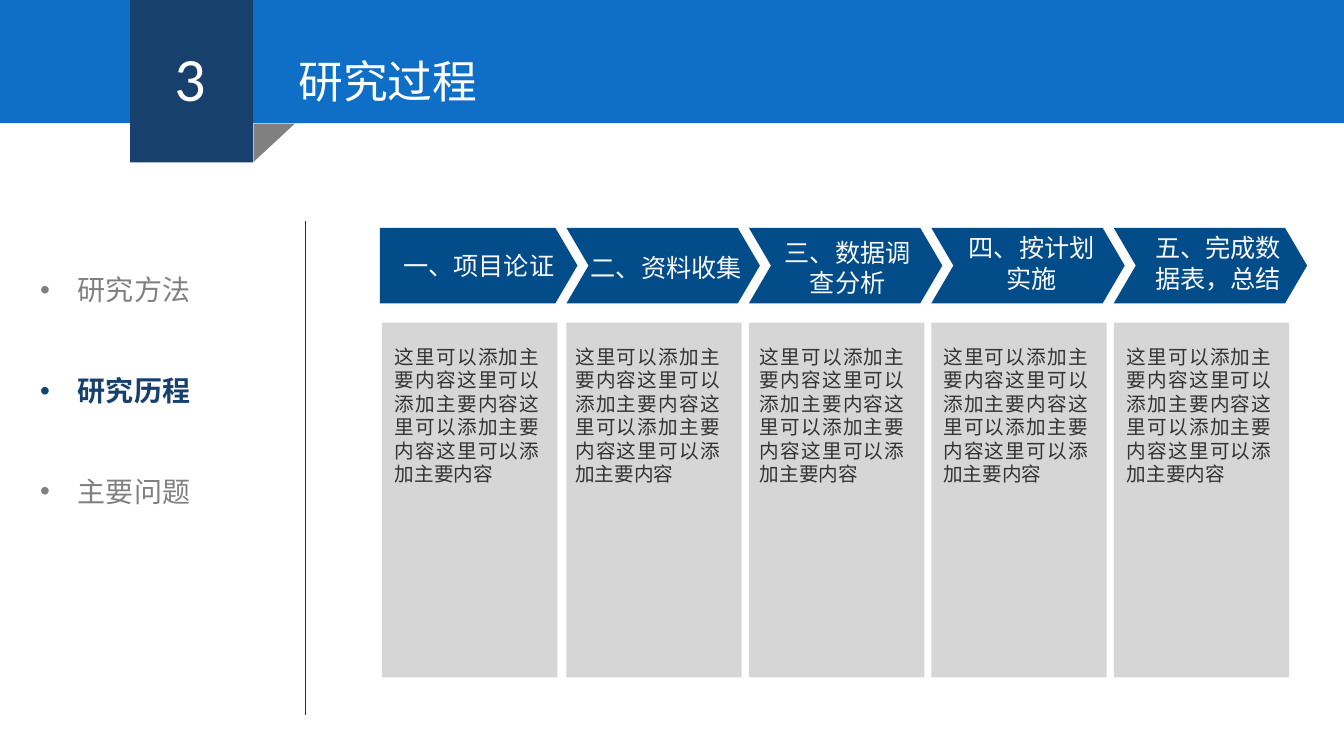
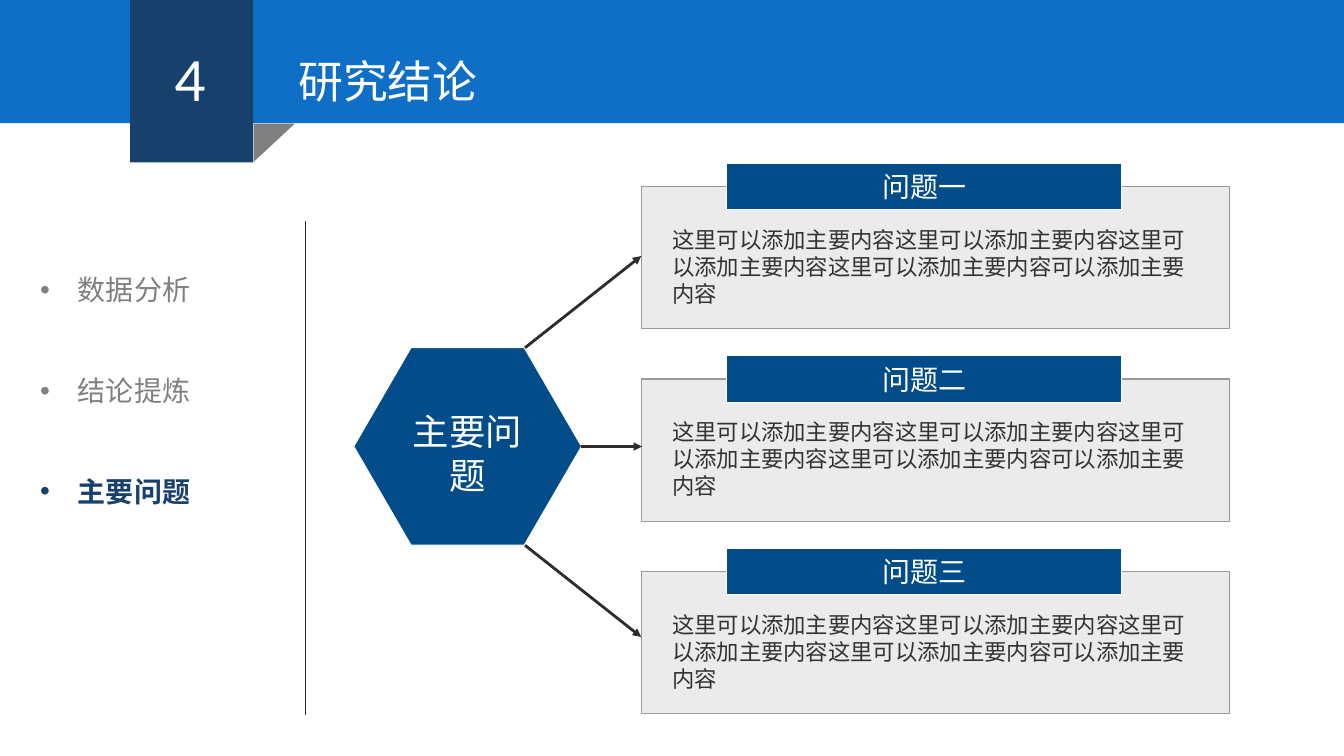
"""Build the research process and research conclusion slides."""
from dataclasses import dataclass

from lxml import etree
from pptx import Presentation
from pptx.dml.color import RGBColor
from pptx.enum import shapes as kinds, text as txt
from pptx.oxml.ns import qn
from pptx.util import Pt

WHITE = RGBColor(0xFF, 0xFF, 0xFF)
OFF_WHITE = RGBColor(0xF8, 0xF8, 0xF8)
BRIGHT_BLUE = RGBColor(0x0F, 0x6F, 0xC6)
NAVY = RGBColor(0x17, 0x40, 0x6D)
DEEP_BLUE = RGBColor(0x02, 0x4C, 0x89)
GRAY = RGBColor(0x80, 0x80, 0x80)
STEP_GRAY = RGBColor(0xD6, 0xD6, 0xD6)
PROBLEM_GRAY = RGBColor(0xEB, 0xEB, 0xEB)
BORDER_GRAY = RGBColor(0x99, 0x99, 0x99)
BODY_INK = RGBColor(0x33, 0x33, 0x33)
LINE_INK = RGBColor(0x2E, 0x2C, 0x2C)

LATIN, CJK = "Calibri", "Noto Sans CJK SC"
LEFT, CENTER, JUSTIFY = txt.PP_ALIGN.LEFT, txt.PP_ALIGN.CENTER, txt.PP_ALIGN.JUSTIFY
RECT = kinds.MSO_SHAPE.RECTANGLE

PHRASE = "这里可以添加主要内容"
STEP_BODY = PHRASE * 4
PROBLEM_BODY = PHRASE * 4 + "可以添加主要内容"

CHEVRON_LEFT, CHEVRON_TOP, CHEVRON_PITCH, CHEVRON_HEIGHT = 274.3, 162.7, 130.3, 54
CHEVRON_SHOULDER, CHEVRON_TIP, CHEVRON_NOTCH = 122.4, 138.2, 15.8
FIRST_CHEVRON_LEFT = 271.4
PROBLEM_TOP, PROBLEM_PITCH = 133.2, 137.5


@dataclass(frozen=True)
class Box:
    left: float
    top: float
    width: float
    height: float

    def lengths(self) -> tuple:
        return Pt(self.left), Pt(self.top), Pt(self.width), Pt(self.height)


@dataclass(frozen=True)
class Style:
    size: float
    color: RGBColor
    font: str = CJK
    align: txt.PP_ALIGN = LEFT
    bold: bool = False


@dataclass(frozen=True)
class Section:
    number: str
    title: str
    topics: tuple
    current: int


@dataclass(frozen=True)
class Step:
    heading: str
    heading_box: Box
    card_left: float
    body_left: float


@dataclass(frozen=True)
class Arrow:
    start: tuple
    end: tuple


PROCESS = Section("3", "研究过程", ("研究方法", "研究历程", "主要问题"), 1)
CONCLUSION = Section("4", "研究结论", ("数据分析", "结论提炼", "主要问题"), 2)

STEPS = (
    Step("一、项目论证", Box(280, 175, 123.8, 28.8), 272.9, 275),
    Step("二、资料收集", Box(412.6, 176.4, 126.7, 28.8), 404.6, 403.9),
    Step("三、数据调查分析", Box(550.8, 165.6, 109.4, 51), 535, 535.7),
    Step("四、按计划实施", Box(678.2, 162.7, 117.4, 51), 665.3, 666.7),
    Step("五、完成数据表，总结", Box(810, 162.7, 120.2, 51), 795.6, 797.8),
)
PROBLEMS = ("问题一", "问题二", "问题三")
ARROWS = (
    Arrow((375, 248.4), (458, 182.9)),
    Arrow((414.7, 319), (458.6, 319)),
    Arrow((375, 389.5), (458, 455)),
)

NUMBER = Style(44, WHITE, LATIN)
TITLE = Style(32, WHITE, LATIN)
TOPIC = Style(20, GRAY, LATIN)
CURRENT_TOPIC = Style(20, NAVY, LATIN, bold=True)
STEP_HEADING = Style(18, OFF_WHITE, align=CENTER)
STEP_TEXT = Style(14, BODY_INK, align=JUSTIFY)
PROBLEM_HEADING = Style(20, WHITE, align=CENTER)
PROBLEM_TEXT = Style(16, BODY_INK)
HUB = Style(26, WHITE, align=CENTER)


def format_paragraph(paragraph, style: Style) -> None:
    paragraph.alignment = style.align
    for run in paragraph.runs:
        run.font.size = Pt(style.size)
        run.font.bold = style.bold
        run.font.color.rgb = style.color
        run.font.name = style.font
        etree.SubElement(run.font._element, qn("a:ea"), typeface=CJK)


def add_text(slide, box: Box, wording: str, style: Style):
    frame = slide.shapes.add_textbox(*box.lengths()).text_frame
    frame.word_wrap = True
    frame.auto_size = txt.MSO_AUTO_SIZE.SHAPE_TO_FIT_TEXT
    frame.text = wording
    for paragraph in frame.paragraphs:
        format_paragraph(paragraph, style)
    return frame


def paint(shape, fill: RGBColor, outline: RGBColor | None = None) -> None:
    shape.shadow.inherit = False
    shape.fill.solid()
    shape.fill.fore_color.rgb = fill
    if outline is None:
        shape.line.fill.background()
    else:
        shape.line.color.rgb = outline
        shape.line.width = Pt(0)


def add_block(slide, kind, box: Box, fill: RGBColor, outline: RGBColor | None = None):
    block = slide.shapes.add_shape(kind, *box.lengths())
    paint(block, fill, outline)
    return block


def add_line(slide, start: tuple, end: tuple, width: float, arrowhead: bool = False) -> None:
    line = slide.shapes.add_connector(
        kinds.MSO_CONNECTOR.STRAIGHT, *(Pt(value) for value in start + end))
    line.line.color.rgb = LINE_INK
    line.line.width = Pt(width)
    if arrowhead:
        etree.SubElement(line.line._get_or_add_ln(), qn("a:tailEnd"), type="triangle")
    etree.SubElement(line._element.spPr, qn("a:effectLst"))


def add_topics(slide, section: Section) -> None:
    menu = add_text(slide, Box(21.6, 143.3, 231.1, 225.4), "\n".join(section.topics), TOPIC)
    for index, paragraph in enumerate(menu.paragraphs):
        if index == section.current:
            paragraph.runs[0].font.color.rgb = CURRENT_TOPIC.color
            paragraph.runs[0].font.bold = CURRENT_TOPIC.bold
        paragraph.line_spacing = 3.0
        properties = paragraph._p.get_or_add_pPr()
        properties.set("marL", str(Pt(27)))
        properties.set("indent", str(-Pt(27)))
        etree.SubElement(properties, qn("a:buFont"), typeface="Arial")
        etree.SubElement(properties, qn("a:buChar"), char="•")


def add_section_slide(deck, section: Section):
    slide = deck.slides.add_slide(deck.slide_layouts[6])
    add_line(slide, (218.2, 157.7), (218.2, 510.5), 0.5)
    add_topics(slide, section)
    add_block(slide, RECT, Box(0, 0, 960, 88), BRIGHT_BLUE)
    add_block(slide, RECT, Box(92.9, 0, 88, 116), NAVY)
    fold = add_block(slide, kinds.MSO_SHAPE.RIGHT_TRIANGLE, Box(182.2, 87.2, 27.4, 29.5), GRAY)
    fold.rotation = 90
    add_text(slide, Box(117.4, 25.2, 38.9, 60.5), section.number, NUMBER)
    add_text(slide, Box(206, 34.6, 281.5, 46), section.title, TITLE)
    return slide


def add_chevron(slide, index: int) -> None:
    left = CHEVRON_LEFT + index * CHEVRON_PITCH
    back = left if index else FIRST_CHEVRON_LEFT
    middle, bottom = CHEVRON_TOP + CHEVRON_HEIGHT / 2, CHEVRON_TOP + CHEVRON_HEIGHT
    corners = [(left + CHEVRON_SHOULDER, CHEVRON_TOP), (left + CHEVRON_TIP, middle),
               (left + CHEVRON_SHOULDER, bottom), (back, bottom)]
    if index:
        corners.append((left + CHEVRON_NOTCH, middle))
    outline = slide.shapes.build_freeform(Pt(back), Pt(CHEVRON_TOP))
    outline.add_line_segments([(Pt(x), Pt(y)) for x, y in corners], close=True)
    paint(outline.convert_to_shape(), DEEP_BLUE)


def add_step(slide, index: int, step: Step) -> None:
    add_chevron(slide, index)
    add_block(slide, RECT, Box(step.card_left, 230.4, 125.3, 253.4), STEP_GRAY)
    add_text(slide, step.heading_box, step.heading, STEP_HEADING)
    add_text(slide, Box(step.body_left, 242.6, 117.4, 108.7), STEP_BODY, STEP_TEXT)


def add_problem(slide, index: int, heading: str) -> None:
    top = PROBLEM_TOP + index * PROBLEM_PITCH
    add_block(slide, RECT, Box(458.6, top, 419.8, 101.5), PROBLEM_GRAY, BORDER_GRAY)
    banner = add_block(slide, RECT, Box(519.1, top - 16.4, 282.2, 33), DEEP_BLUE, WHITE)
    banner.text_frame.text = heading
    banner.text_frame.vertical_anchor = txt.MSO_ANCHOR.MIDDLE
    format_paragraph(banner.text_frame.paragraphs[0], PROBLEM_HEADING)
    add_text(slide, Box(473, top + 24.7, 393.8, 65.5), PROBLEM_BODY, PROBLEM_TEXT)


def build_process(deck) -> None:
    slide = add_section_slide(deck, PROCESS)
    for index, step in enumerate(STEPS):
        add_step(slide, index, step)


def build_conclusion(deck) -> None:
    slide = add_section_slide(deck, CONCLUSION)
    hub = add_block(slide, kinds.MSO_SHAPE.HEXAGON, Box(252.7, 248.4, 162.7, 141), DEEP_BLUE, WHITE)
    hub.adjustments[0] = 0.29
    add_text(slide, Box(275, 288.7, 118.1, 70.6), "主要问题", HUB)
    for index, heading in enumerate(PROBLEMS):
        add_problem(slide, index, heading)
    for arrow in ARROWS:
        add_line(slide, arrow.start, arrow.end, 0, arrowhead=True)


def main() -> None:
    deck = Presentation()
    deck.slide_width, deck.slide_height = Pt(960), Pt(540)
    build_process(deck)
    build_conclusion(deck)
    deck.save("out.pptx")


if __name__ == "__main__":
    main()
